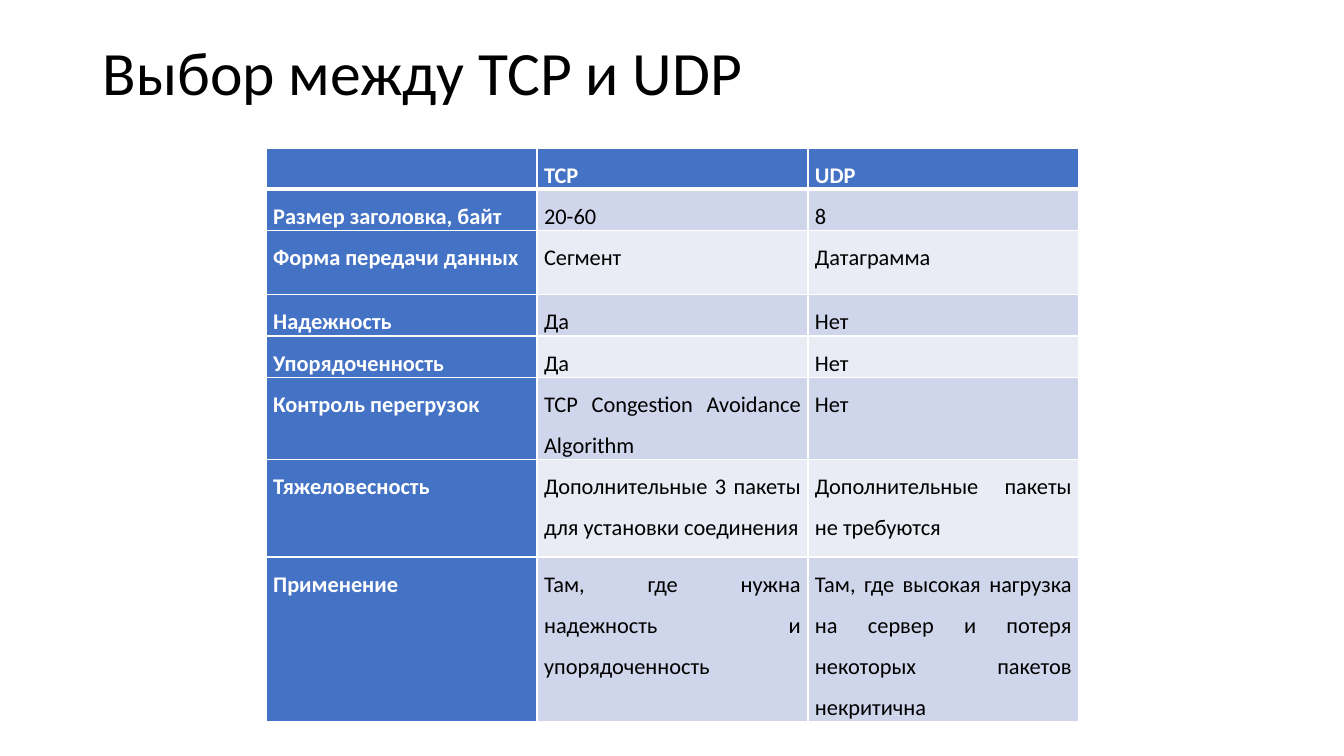
from dataclasses import dataclass

from lxml import etree
from pptx import Presentation
from pptx.dml.color import RGBColor
from pptx.enum import text
from pptx.oxml import ns
from pptx.util import Inches, Pt


@dataclass(frozen=True)
class Theme:
    font: str = "Calibri"
    title_size: int = 44
    cell_size: int = 16
    black: str = "000000"
    white: str = "FFFFFF"
    header: str = "4472C4"
    bands: tuple[str, str] = ("CFD5EA", "E9EBF5")
    thin: int = 1
    thick: int = 3


@dataclass(frozen=True)
class Row:
    label: str
    tcp: str
    udp: str
    height: float = 0.3


THEME = Theme()
ROWS = [
    Row("", "TCP", "UDP"),
    Row("Размер заголовка, байт", "20-60", "8"),
    Row("Форма передачи данных", "Сегмент", "Датаграмма", 0.64),
    Row("Надежность", "Да", "Нет"),
    Row("Упорядоченность", "Да", "Нет"),
    Row("Контроль перегрузок", "TCP Congestion Avoidance Algorithm", "Нет", 0.64),
    Row("Тяжеловесность", "Дополнительные 3 пакеты для установки соединения",
        "Дополнительные пакеты не требуются", 0.97),
    Row("Применение", "Там, где нужна надежность и упорядоченность",
        "Там, где высокая нагрузка на сервер и потеря некоторых пакетов некритична", 1.31),
]


def write(tf, content: str, *, size: int, color: str, bold: bool = False,
          align=text.PP_ALIGN.LEFT, spacing: float = 1.0, after: int = 0) -> None:
    """Put one formatted paragraph into a text frame."""
    p = tf.paragraphs[0]
    p.alignment = align
    p.line_spacing = spacing
    p.space_after = Pt(after)
    if not content:
        return
    r = p.add_run()
    r.text = content
    r.font.name = THEME.font
    r.font.size = Pt(size)
    r.font.bold = bold
    r.font.color.rgb = RGBColor.from_string(color)


def add_borders(cell, top: int, bottom: int) -> None:
    """Draw white lines around a cell, with widths in points."""
    widths = {"a:lnL": THEME.thin, "a:lnR": THEME.thin, "a:lnT": top, "a:lnB": bottom}
    props = cell._tc.get_or_add_tcPr()
    for tag, width in widths.items():
        line = etree.SubElement(props, ns.qn(tag), w=str(Pt(width)))
        fill = etree.SubElement(line, ns.qn("a:solidFill"))
        etree.SubElement(fill, ns.qn("a:srgbClr"), val=THEME.white)


def add_title(slide, content: str) -> None:
    sp = slide.shapes.title
    sp.left, sp.top = Inches(0.92), Inches(0.02)
    sp.width, sp.height = Inches(11.5), Inches(1.45)
    sp.text_frame.vertical_anchor = text.MSO_ANCHOR.MIDDLE
    write(sp.text_frame, content, size=THEME.title_size, color=THEME.black, spacing=0.9)


def format_cell(cell, content: str, row: int, col: int) -> None:
    heading = row == 0 or col == 0
    cell.margin_left = cell.margin_right = Inches(0.07)
    cell.margin_top = cell.margin_bottom = 0
    add_borders(cell, top=THEME.thick if row == 1 else THEME.thin,
                bottom=THEME.thick if row == 0 else THEME.thin)
    cell.fill.solid()
    cell.fill.fore_color.rgb = RGBColor.from_string(
        THEME.header if heading else THEME.bands[(row - 1) % 2])
    write(cell.text_frame, content, size=THEME.cell_size, bold=heading,
          color=THEME.white if heading else THEME.black,
          align=text.PP_ALIGN.JUSTIFY, spacing=1.5, after=8)


def add_comparison(slide, rows: list[Row]) -> None:
    height = Inches(5.36)
    frame = slide.shapes.add_table(len(rows), 3, Inches(2.64), Inches(1.47),
                                   Inches(8.06), height)
    table = frame.table
    for i, row in enumerate(rows):
        table.rows[i].height = Inches(row.height)
        for j, content in enumerate((row.label, row.tcp, row.udp)):
            format_cell(table.cell(i, j), content, i, j)
    frame.height = height


def main() -> None:
    # Slide
    prs = Presentation()
    prs.slide_width, prs.slide_height = Inches(13.33), Inches(7.5)
    slide = prs.slides.add_slide(prs.slide_layouts[5])

    # Title and comparison table
    add_title(slide, "Выбор между TCP и UDP")
    add_comparison(slide, ROWS)
    prs.save("out.pptx")


if __name__ == "__main__":
    main()
